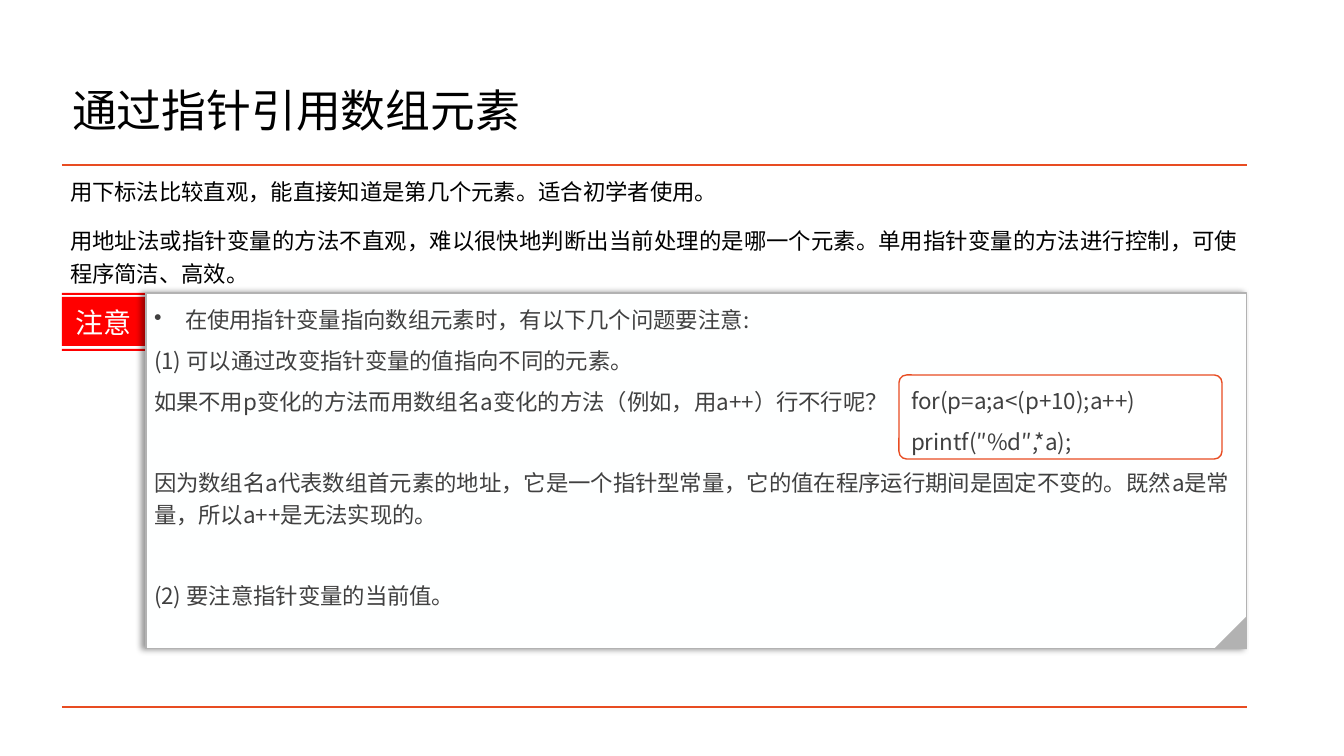
from lxml.etree import SubElement
from pptx import Presentation
from pptx.dml.color import RGBColor
from pptx.enum.shapes import MSO_CONNECTOR, MSO_SHAPE
from pptx.enum.text import MSO_ANCHOR, MSO_AUTO_SIZE, PP_ALIGN
from pptx.oxml.ns import qn
from pptx.util import Pt

SCALE = 914400 / 100.8
FONT = "Noto Sans CJK SC"
ORANGE, RED, GRAY = "E84C22", "FF0000", "B2B2B2"
BLACK, DARK, PAPER, WHITE = "000000", "404040", "FEFFFF", "FFFFFF"
BLANK_LINE = 29


def px(value):
    return round(value * SCALE)


def color(value):
    return RGBColor.from_string(value)


def place(shape, left, top, width, height):
    shape.left, shape.top = px(left), px(top)
    shape.width, shape.height = px(width), px(height)


def paint(shape, fill, line=None, weight=1):
    shape.shadow.inherit = False
    shape.fill.solid()
    shape.fill.fore_color.rgb = color(fill)
    if line:
        shape.line.color.rgb = color(line)
        shape.line.width = Pt(weight)
    else:
        shape.line.fill.background()


def add_box(slide, preset, box, fill, line=None, weight=1):
    shape = slide.shapes.add_shape(preset, *map(px, box))
    paint(shape, fill, line, weight)
    return shape


def set_frame(shape, inset=None, anchor=MSO_ANCHOR.TOP):
    frame = shape.text_frame
    frame.word_wrap = True
    frame.auto_size = MSO_AUTO_SIZE.NONE
    frame.vertical_anchor = anchor
    if inset is not None:
        frame.margin_left = frame.margin_right = px(inset)
        frame.margin_top = frame.margin_bottom = px(inset)
    return frame


def write(frame, text, size=16, ink=DARK, align=PP_ALIGN.LEFT, spacing=1.2,
          before=0, after=6, bullet=None, hang=0):
    paragraph = frame.paragraphs[0]
    if paragraph.runs:
        paragraph = frame.add_paragraph()
    paragraph.alignment = align
    paragraph.line_spacing = spacing
    paragraph.space_before, paragraph.space_after = Pt(before), Pt(after)
    properties = paragraph._p.get_or_add_pPr()
    properties.set("marL", str(px(hang)))
    properties.set("indent", str(-px(hang)))
    if bullet:
        SubElement(properties, qn("a:buChar"), char=bullet)
    else:
        SubElement(properties, qn("a:buNone"))
    run = paragraph.add_run()
    run.text = text
    run.font.size = Pt(size)
    run.font.name = FONT
    run.font.color.rgb = color(ink)
    SubElement(run._r.get_or_add_rPr(), qn("a:ea"), typeface=FONT)


def add_title(slide, box):
    title = slide.shapes.title
    place(title, *box)
    frame = set_frame(title, anchor=MSO_ANCHOR.MIDDLE)
    write(frame, "通过指针引用数组元素", size=32, ink=BLACK, spacing=0.9, after=0)


def add_rule(slide, left, top, width):
    rule = slide.shapes.add_connector(
        MSO_CONNECTOR.STRAIGHT, px(left), px(top), px(left + width), px(top))
    rule.line.color.rgb = color(ORANGE)
    rule.line.width = Pt(2)
    SubElement(rule._element.spPr, qn("a:effectLst"))


def add_introduction(slide, box):
    body = slide.placeholders[1]
    place(body, *box)
    frame = set_frame(body, inset=8)
    style = {"ink": BLACK, "align": PP_ALIGN.JUSTIFY}
    write(frame, "用下标法比较直观，能直接知道是第几个元素。适合初学者使用。", **style)
    write(frame, "用地址法或指针变量的方法不直观，难以很快地判断出当前处理的是哪一个元素。"
          "单用指针变量的方法进行控制，可使程序简洁、高效。", before=6, **style)


def add_tag(slide, left, top, width):
    right = left + width
    builder = slide.shapes.build_freeform(left, top, scale=SCALE)
    for offset, height in ((0, 2), (4, 49), (56, 2)):
        upper, lower = top + offset, top + offset + height
        builder.move_to(left, upper)
        builder.add_line_segments([(right, upper), (right, lower), (left, lower)])
    tag = builder.convert_to_shape()
    paint(tag, RED)
    frame = set_frame(tag, anchor=MSO_ANCHOR.MIDDLE)
    write(frame, "注意", size=20, ink=PAPER, align=PP_ALIGN.CENTER, spacing=1, after=0)


def add_left_shadow(shape):
    effects = shape._element.spPr.find(qn("a:effectLst"))
    shadow = SubElement(effects, qn("a:outerShdw"), blurRad=str(Pt(4)),
                        dist=str(Pt(3)), dir="10800000", algn="r", rotWithShape="0")
    tint = SubElement(shadow, qn("a:srgbClr"), val=BLACK)
    SubElement(tint, qn("a:alpha"), val="40000")


def add_note(slide, left, top, width, height):
    note = add_box(slide, MSO_SHAPE.RECTANGLE, (left, top, width, height), PAPER, GRAY, 0.75)
    add_left_shadow(note)
    frame = set_frame(note, inset=8)
    write(frame, "在使用指针变量指向数组元素时，有以下几个问题要注意:", bullet="•", hang=31)
    write(frame, "(1) 可以通过改变指针变量的值指向不同的元素。")
    write(frame, "如果不用p变化的方法而用数组名a变化的方法（例如，用a++）行不行呢？")
    write(frame, "因为数组名a代表数组首元素的地址，它是一个指针型常量，"
          "它的值在程序运行期间是固定不变的。既然a是常量，所以a++是无法实现的。",
          before=BLANK_LINE)
    write(frame, "(2) 要注意指针变量的当前值。", before=BLANK_LINE)
    fold = 33
    corner = (left + width - fold, top + height - fold, fold, fold)
    add_box(slide, MSO_SHAPE.RIGHT_TRIANGLE, corner, GRAY).rotation = 270


def add_code(slide, box):
    code = add_box(slide, MSO_SHAPE.ROUNDED_RECTANGLE, box, WHITE, ORANGE)
    code.adjustments[0] = 0.09
    frame = set_frame(code)
    for line in ("for(p=a;a<(p+10);a++)", "printf(″%d″,*a);"):
        write(frame, line)


def main():
    presentation = Presentation()
    presentation.slide_width, presentation.slide_height = px(1344), px(756)
    slide = presentation.slides.add_slide(presentation.slide_layouts[1])
    left, width = 62, 1185
    rule_top, note_top, tag_width = 165, 293, 84
    add_title(slide, (left, 60, 1159, 105))
    add_introduction(slide, (left, rule_top, width, note_top - rule_top))
    for top in (rule_top, 707):
        add_rule(slide, left, top, width)
    add_tag(slide, left, note_top, tag_width - 1)
    add_note(slide, left + tag_width, note_top, width - tag_width, 356)
    add_code(slide, (899, 375, 323, 84))
    presentation.save("out.pptx")


if __name__ == "__main__":
    main()
